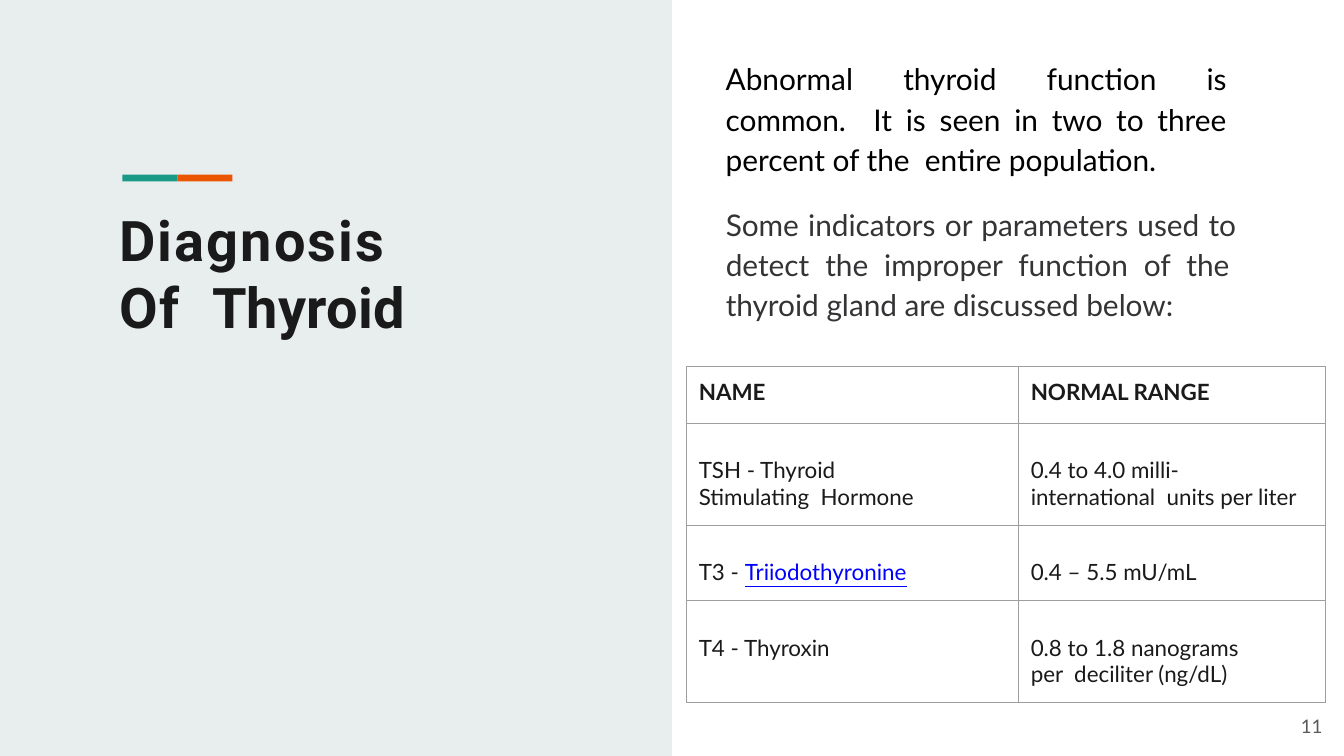
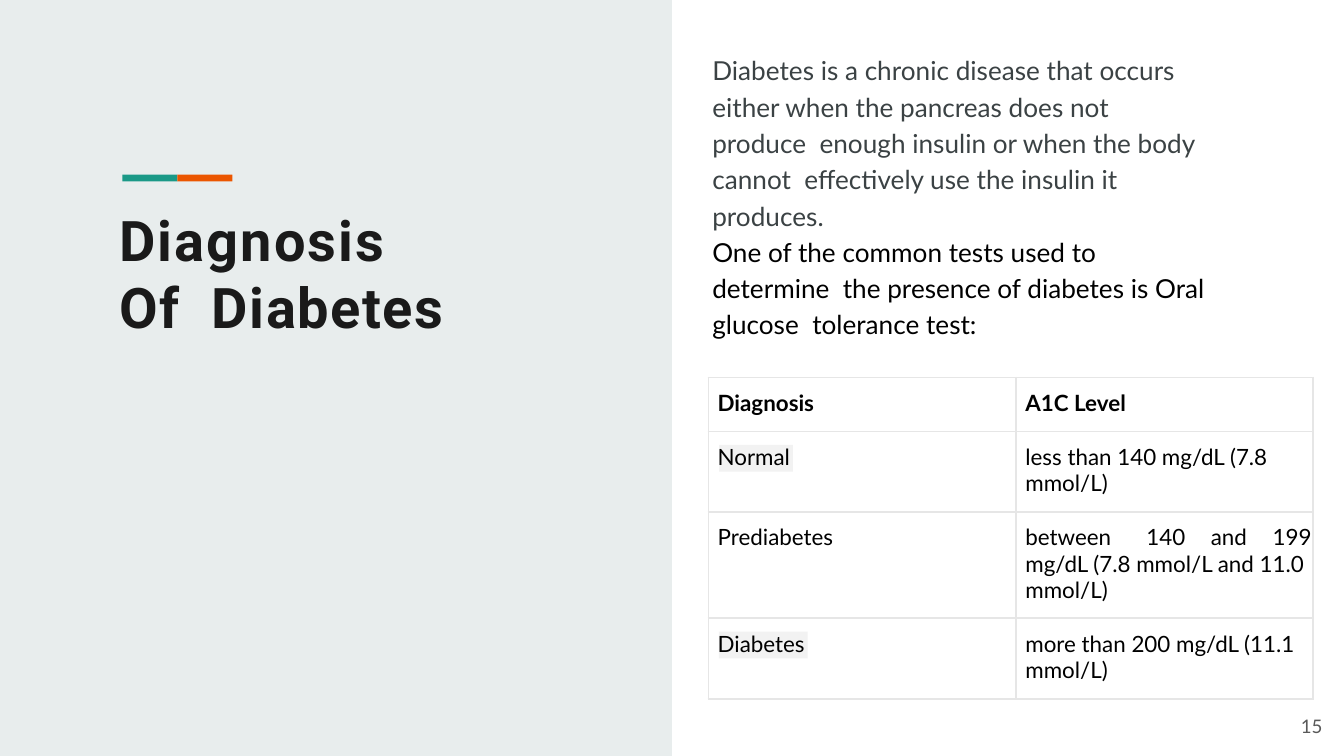
from pptx import Presentation
from pptx.dml.color import RGBColor
from pptx.enum.shapes import MSO_SHAPE
from pptx.enum.text import MSO_ANCHOR, MSO_AUTO_SIZE, PP_ALIGN
from pptx.oxml.ns import qn
from pptx.util import Inches, Pt
from lxml import etree

RECTANGLE = MSO_SHAPE.RECTANGLE
TOP = MSO_ANCHOR.TOP
NO_AUTOFIT = MSO_AUTO_SIZE.NONE
LEFT, JUSTIFY = PP_ALIGN.LEFT, PP_ALIGN.JUSTIFY

# Shared look
WIDTH = 10
HEIGHT = WIDTH * 9 / 16
TITLE_FONT, BODY_FONT = "Roboto", "Lato"
PANEL, TEAL, ORANGE = "E8EDED", "1A9987", "EB5600"
INK, BLACK, GREY, LINK = "1A1A1A", "000000", "595959", "0000FF"
HIGHLIGHT = "F2F2F2"
ACCENT_LEFT, ACCENT_TOP, ACCENT_WIDTH, ACCENT_HEIGHT = 0.91, 1.3, 0.41, 0.05
TITLE_BOX = (0.88, 1.52, 2.5, 1.03)
NUMBER_BOX = (9.64, 5.31, 0.24, 0.19)
TITLE_ONLY = 5


def color(value):
    return RGBColor.from_string(value)


def place(shape, box):
    shape.left, shape.top, shape.width, shape.height = map(Inches, box)


def style_font(font, size, hex_color, name=BODY_FONT, bold=False):
    font.name, font.size, font.bold = name, Pt(size), bold
    font.color.rgb = color(hex_color)


def style_frame(frame, left=0.01):
    frame.word_wrap = True
    frame.auto_size = NO_AUTOFIT
    frame.vertical_anchor = TOP
    frame.margin_left, frame.margin_top = Inches(left), Inches(0.01)
    frame.margin_right = frame.margin_bottom = 0


def add_block(slide, box, hex_color):
    shape = slide.shapes.add_shape(RECTANGLE, *map(Inches, box))
    shape.shadow.inherit = False
    shape.fill.solid()
    shape.fill.fore_color.rgb = color(hex_color)
    shape.line.fill.background()
    return shape


def add_text(slide, box, text, size, hex_color, spacing=1.0, align=LEFT, left=0.01):
    frame = slide.shapes.add_textbox(*map(Inches, box)).text_frame
    style_frame(frame, left)
    frame.text = text
    paragraph = frame.paragraphs[0]
    paragraph.alignment = align
    paragraph.line_spacing = spacing
    style_font(paragraph.runs[0].font, size, hex_color)


def add_title(slide, parts):
    """Each part is (text, letter spacing in points)."""
    title = slide.shapes.title
    place(title, TITLE_BOX)
    style_frame(title.text_frame)
    paragraph = title.text_frame.paragraphs[0]
    paragraph.alignment = LEFT
    for text, letter_spacing in parts:
        run = paragraph.add_run()
        run.text = text
        style_font(run.font, 30, INK, TITLE_FONT, bold=True)
        run.font._element.set("spc", str(round(letter_spacing * 100)))


def set_borders(cell, hex_color, width):
    properties = cell._tc.get_or_add_tcPr()
    for side in ("a:lnL", "a:lnR", "a:lnT", "a:lnB"):
        line = etree.SubElement(properties, qn(side), w=str(Pt(width)))
        fill = etree.SubElement(line, qn("a:solidFill"))
        etree.SubElement(fill, qn("a:srgbClr"), val=hex_color)


def set_tabs(paragraph, stops):
    tab_list = etree.SubElement(paragraph._p.get_or_add_pPr(), qn("a:tabLst"))
    for stop in stops:
        etree.SubElement(tab_list, qn("a:tab"), pos=str(Inches(stop)), algn="l")


def add_table(slide, corner, columns, heights, rows, border, text_color, left, body_top):
    shape = slide.shapes.add_table(len(rows), len(columns), *map(
        Inches, (*corner, sum(columns), sum(heights))))
    table = shape.table
    table.first_row = table.horz_banding = False
    for column, width in zip(table.columns, columns):
        column.width = Inches(width)
    for row, height in zip(table.rows, heights):
        row.height = Inches(height)
    for row_index, row in enumerate(rows):
        for column_index, text in enumerate(row):
            cell = table.cell(row_index, column_index)
            set_borders(cell, *border)
            cell.fill.background()
            cell.vertical_anchor = TOP
            cell.margin_left = Inches(left)
            cell.margin_top = Inches(body_top if row_index else 0.09)
            cell.margin_right = cell.margin_bottom = 0
            cell.text_frame.text = text
            for paragraph in cell.text_frame.paragraphs:
                paragraph.line_spacing = Pt(14.2)
                for run in paragraph.runs:
                    style_font(run.font, 12, text_color, bold=row_index == 0)
    return table


def decorate_layout(layout, slide):
    """Move the panel and the accent bars from a slide to its layout."""
    bar = (ACCENT_TOP, ACCENT_WIDTH, ACCENT_HEIGHT)
    blocks = [
        ((0, 0, WIDTH / 2, HEIGHT), PANEL),
        ((ACCENT_LEFT, *bar), TEAL),
        ((ACCENT_LEFT + ACCENT_WIDTH, *bar), ORANGE),
    ]
    for number, (box, hex_color) in enumerate(blocks, start=20):
        element = add_block(slide, box, hex_color)._element
        element.nvSpPr.cNvPr.set("id", str(number))
        layout.shapes._spTree.append(element)


def add_slide(presentation, title_parts, number):
    slide = presentation.slides.add_slide(presentation.slide_layouts[TITLE_ONLY])
    add_title(slide, title_parts)
    add_text(slide, NUMBER_BOX, number, 10, GREY, left=0.04)
    return slide


def build_thyroid(presentation):
    slide = add_slide(presentation, [
        ("Diagnosis ", 1.1), ("Of  ", 0.8), ("Thyroid", 0.1)], "11")
    add_text(slide, (5.39, 0.41, 3.74, 0.93),
             "Abnormal thyroid function is common.  It is seen in two to three "
             "percent of the  entire population.",
             16, BLACK, 1.13, JUSTIFY)
    add_text(slide, (5.39, 1.49, 3.88, 0.93),
             "Some indicators or parameters used to  detect the improper function "
             "of the  thyroid gland are discussed below:",
             16, "343436", 1.13, JUSTIFY)
    table = add_table(slide, (5.11, 2.73), (2.47, 2.28), (0.42, 0.76, 0.56, 0.76), [
        ("NAME", "NORMAL RANGE"),
        ("TSH - Thyroid Stimulating  Hormone",
         "0.4 to 4.0 milli-\vinternational  units per liter"),
        ("T3 - ", "0.4 – 5.5 mU/mL"),
        ("T4 - Thyroxin", "0.8 to 1.8 nanograms per  deciliter (ng/dL)"),
    ], ("9E9E9E", 0.75), INK, left=0.09, body_top=0.25)
    # Narrower text in the two long cells
    table.cell(1, 0).margin_right = Inches(0.7)
    table.cell(3, 1).margin_right = Inches(0.55)
    # Underlined term
    term = table.cell(2, 0).text_frame.paragraphs[0].add_run()
    term.text = "Triiodothyronine"
    style_font(term.font, 12, LINK)
    term.font.underline = True
    return slide


def build_diabetes(presentation):
    slide = add_slide(presentation, [("Diagnosis ", 1.1), ("Of  Diabetes", 0.8)], "15")
    add_text(slide, (5.29, 0.36, 3.65, 1.35),
             "Diabetes is a chronic disease that occurs  either when the pancreas "
             "does not produce  enough insulin or when the body cannot  effectively "
             "use the insulin it produces.",
             14, "3B4244", 1.16)
    add_text(slide, (5.29, 1.71, 3.73, 0.84),
             "One of the common tests used to determine  the presence of diabetes "
             "is Oral glucose  tolerance test:",
             14, BLACK, 1.16)
    # Highlights behind the first and last diagnosis
    for top, width in ((3.31, 0.55), (4.7, 0.66)):
        add_block(slide, (5.35, top, width, 0.2), HIGHLIGHT)
    table = add_table(slide, (5.27, 2.81), (2.29, 2.21), (0.4, 0.6, 0.79, 0.6), [
        ("Diagnosis", "A1C Level"),
        ("Normal", "less than 140 mg/dL (7.8  mmol/L)"),
        ("Prediabetes",
         "between\t140\tand\t199\nmg/dL (7.8 mmol/L and 11.0  mmol/L)"),
        ("Diabetes", "more than 200 mg/dL (11.1  mmol/L)"),
    ], ("E6E6E6", 1), BLACK, left=0.07, body_top=0.09)
    set_tabs(table.cell(2, 1).text_frame.paragraphs[0], (0.9, 1.38, 1.84))


def main():
    presentation = Presentation()
    presentation.slide_width, presentation.slide_height = Inches(WIDTH), Inches(HEIGHT)
    first_slide = build_thyroid(presentation)
    decorate_layout(first_slide.slide_layout, first_slide)
    build_diabetes(presentation)
    presentation.save("out.pptx")


if __name__ == "__main__":
    main()
